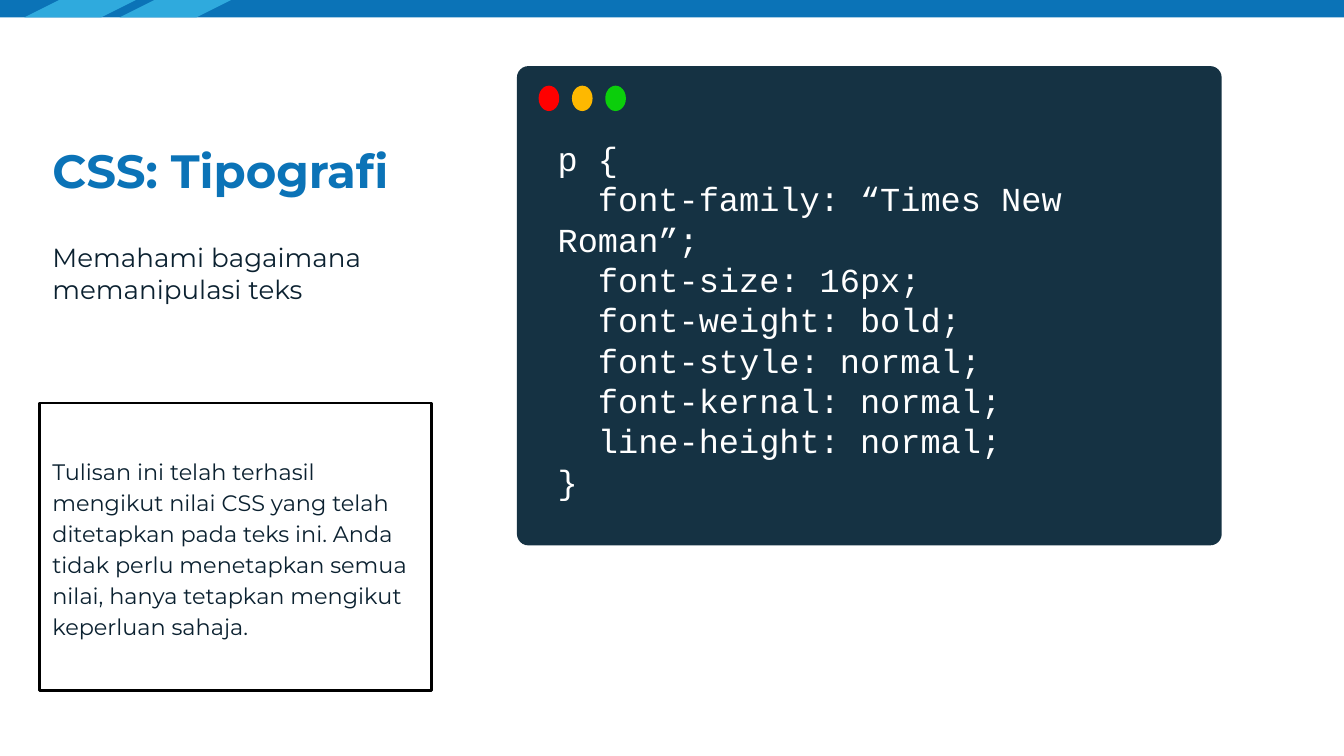
from pptx import Presentation
from pptx import util as u
from pptx.dml.color import RGBColor
from pptx.enum import shapes, text

# Content
TITLE = "CSS: Tipografi"
SUBTITLE = "Memahami bagaimana memanipulasi teks"
RESULT = ("Tulisan ini telah terhasil mengikut nilai CSS yang telah ditetapkan "
          "pada teks ini. Anda tidak perlu menetapkan semua nilai, hanya "
          "tetapkan mengikut keperluan sahaja.")
CODE = [
    "p {",
    "  font-family: “Times New Roman”;",
    "  font-size: 16px;",
    "  font-weight: bold;",
    "  font-style: normal;",
    "  font-kernal: normal;",
    "  line-height: normal;",
    "}",
]


class Theme:
    blue, sky, ink, white, black = "0B73B7", "2FAADD", "0B2130", "FFFFFF", "000000"
    window = "153243"
    lights = ["FF0000", "FEB800", "0BCE0B"]
    sans, mono = "Montserrat", "Courier New"
    title, subtitle, body, code = 25, 14, 12, 18


KIND = shapes.MSO_SHAPE
ANCHOR = text.MSO_ANCHOR

prs = Presentation()
prs.slide_width, prs.slide_height = u.Cm(25.4), u.Cm(14.29)
s = prs.slides.add_slide(prs.slide_layouts[6])


def add_shape(kind, box, fill=None, line=None, adj=None):
    sp = s.shapes.add_shape(kind, *map(u.Cm, box))
    sp.shadow.inherit = False
    if fill:
        sp.fill.solid()
        sp.fill.fore_color.rgb = RGBColor.from_string(fill)
    else:
        sp.fill.background()
    if line:
        sp.line.color.rgb = RGBColor.from_string(line)
        sp.line.width = u.Pt(1.5)
    else:
        sp.line.fill.background()
    if adj is not None:
        sp.adjustments[0] = adj
    return sp


def add_text(lines, box, *, size, color, font=Theme.sans, bold=False,
             anchor=ANCHOR.TOP, spacing=None, after=None):
    tf = s.shapes.add_textbox(*map(u.Cm, box)).text_frame
    tf.word_wrap = True
    tf.vertical_anchor = anchor
    tf.margin_left = tf.margin_right = tf.margin_top = tf.margin_bottom = u.Cm(0.25)
    for i, line in enumerate(lines):
        p = tf.paragraphs[0] if i == 0 else tf.add_paragraph()
        if spacing:
            p.line_spacing = spacing
        if after:
            p.space_after = u.Pt(after)
        r = p.add_run()
        r.text = line
        r.font.name, r.font.size, r.font.bold = font, u.Pt(size), bold
        r.font.color.rgb = RGBColor.from_string(color)


# Top band with two slanted accents
BAND = 0.33
add_shape(KIND.RECTANGLE, (0, 0, 25.4, BAND), Theme.blue)
for i in range(2):
    add_shape(KIND.PARALLELOGRAM, (0.46 + 1.8 * i, 0, 2.11, BAND), Theme.sky, adj=2)

# Left column: heading, subtitle and framed result
LEFT, WIDTH = 0.74, 7.01
add_text([TITLE], (LEFT, 1.35, WIDTH, 2.64), size=Theme.title, color=Theme.blue,
         bold=True, anchor=ANCHOR.BOTTOM)
add_text([SUBTITLE], (LEFT, 4.32, WIDTH, 3.43), size=Theme.subtitle, color=Theme.ink)
result_box = (LEFT, 7.62, 7.42, 5.44)
add_shape(KIND.RECTANGLE, result_box, line=Theme.black)
add_text([RESULT], result_box, size=Theme.body, color=Theme.ink,
         anchor=ANCHOR.MIDDLE, spacing=1.15, after=12)

# Code window with its three lights
add_shape(KIND.ROUNDED_RECTANGLE, (9.77, 1.25, 13.32, 9.06), Theme.window, adj=0.024)
for i, color in enumerate(Theme.lights):
    add_shape(KIND.OVAL, (10.18 + 0.63 * i, 1.62, 0.39, 0.48), color)
add_text(CODE, (10.29, 2.36, 12.42, 7.44), size=Theme.code, color=Theme.white,
         font=Theme.mono)

prs.save("out.pptx")
